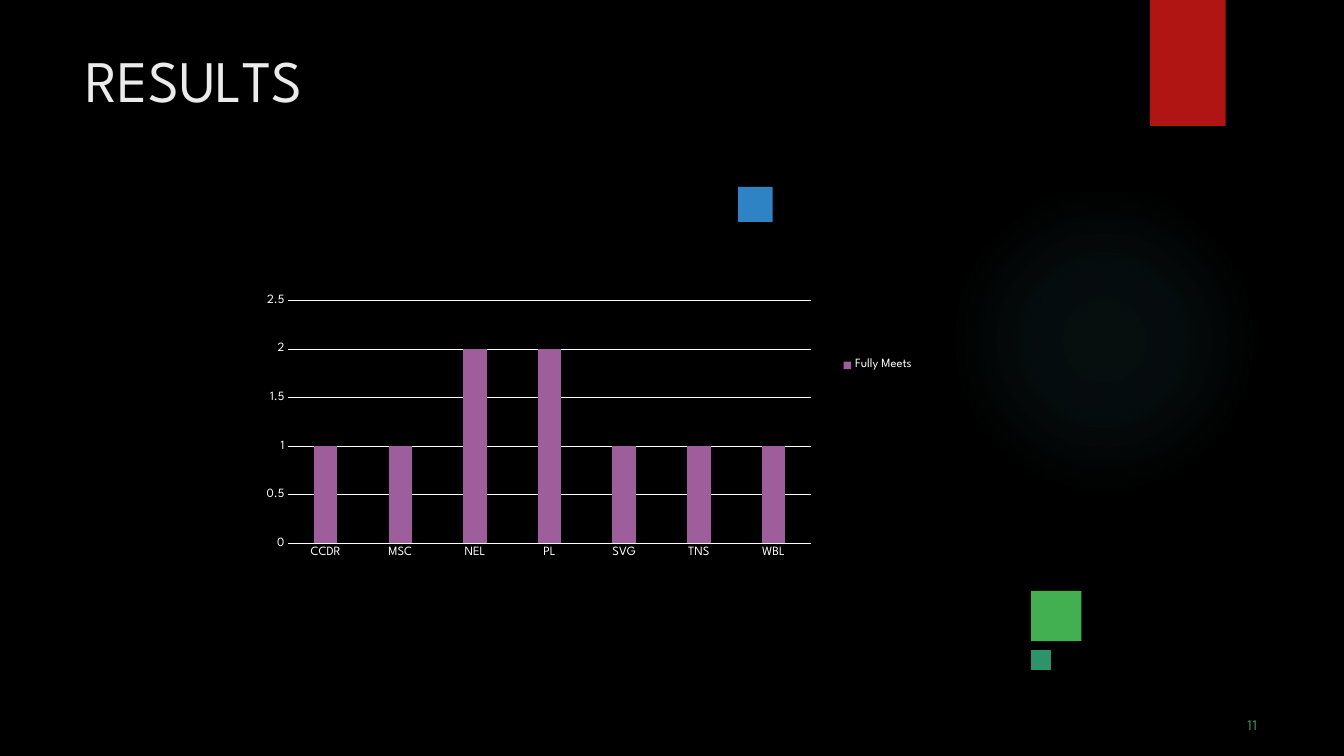
from lxml import etree
from pptx import Presentation
from pptx.chart.data import CategoryChartData
from pptx.dml.color import RGBColor
from pptx.enum.chart import XL_CHART_TYPE as ChartType
from pptx.enum.chart import XL_LEGEND_POSITION as LegendPosition
from pptx.enum.chart import XL_TICK_MARK as TickMark
from pptx.enum.shapes import MSO_SHAPE as Shape
from pptx.oxml import parse_xml
from pptx.oxml.ns import nsdecls, qn
from pptx.util import Pt

COLORS = {
    "background": "000000", "glow": "50B9C1", "red": "B01513",
    "green": "42AF51", "blue": "2D83C3", "teal": "2D936B",
    "title": "EBEBEB", "white": "FFFFFF", "purple": "9E5E9B",
}
HEADING_FONT = "League Spartan"
NUMBER_FONT = "Karla"

# Title letters with their letter spacing in hundredths of a point
TITLE = [("R", 0), ("E", -40), ("S", 10), ("U", -30), ("L", -400), ("TS", 0)]
PAGE_NUMBER = [("11", 10)]

# left, top, width, height, colour
BLOCKS = [
    (821.5, 0, 54, 90, "red"),
    (736.5, 422, 36, 36, "green"),
    (527.2, 133.4, 24.8, 25.2, "blue"),
    (736.5, 464.3, 14.2, 14.2, "teal"),
]
GLOW_BOX = (677.5, 131.8, 221.8, 221.8)
GLOW_STOPS = [(0, 7), (36, 6), (69, 0)]  # position %, opacity %

CHART_BOX = (137.5, 108, 522.7, 306)
PLOT_AREA = {"x": 0.131, "y": 0.349, "w": 0.714, "h": 0.567}
SERIES = "Fully Meets"
RESULTS = {"CCDR": 1, "MSC": 1, "NEL": 2, "PL": 2, "SVG": 1, "TNS": 1, "WBL": 1}


def color(name):
    return RGBColor.from_string(COLORS[name])


def points(values):
    return [Pt(value) for value in values]


def add_block(page, box, fill, kind=Shape.RECTANGLE):
    block = page.shapes.add_shape(kind, *points(box))
    block.shadow.inherit = False
    block.fill.solid()
    block.fill.fore_color.rgb = color(fill)
    block.line.fill.background()
    return block


def add_glow(page):
    """Add the circle whose faint colour fades out from its centre."""
    glow = add_block(page, GLOW_BOX, "glow", Shape.OVAL)
    stops = "".join(
        f'<a:gs pos="{position * 1000}"><a:srgbClr val="{COLORS["glow"]}">'
        f'<a:alpha val="{opacity * 1000}"/></a:srgbClr></a:gs>'
        for position, opacity in GLOW_STOPS)
    gradient = parse_xml(
        f'<a:gradFill {nsdecls("a")}><a:gsLst>{stops}</a:gsLst>'
        '<a:path path="circle"><a:fillToRect l="50000" t="50000" '
        'r="50000" b="50000"/></a:path></a:gradFill>')
    properties = glow.element.spPr
    properties.replace(properties.find(qn("a:solidFill")), gradient)


def style_font(font, size, fill, name=HEADING_FONT):
    font.size = Pt(size)
    font.name = name
    font.color.rgb = color(fill)


def add_spaced_text(page, box, pieces, size, fill, name, indent, before):
    """Add one line of text whose pieces have their own letter spacing."""
    frame = page.shapes.add_textbox(*points(box)).text_frame
    frame.word_wrap = True
    frame.margin_left = frame.margin_right = frame.margin_bottom = 0
    frame.margin_top = Pt(1)
    para = frame.paragraphs[0]
    para.space_before = Pt(before)
    para._p.get_or_add_pPr().set("marL", str(Pt(indent)))
    style_font(para.font, size, fill, name)
    for text, spacing in pieces:
        span = para.add_run()
        span.text = text
        span._r.get_or_add_rPr().set("spc", str(spacing))


def place_plot(chart):
    """Fix the inner plot area and leave the chart background clear."""
    layout = parse_xml(
        f'<c:layout {nsdecls("c")}><c:manualLayout>'
        '<c:layoutTarget val="inner"/><c:xMode val="edge"/><c:yMode val="edge"/>'
        + "".join(f'<c:{key} val="{value}"/>' for key, value in PLOT_AREA.items())
        + '</c:manualLayout></c:layout>')
    space = chart.element
    plot_area = space.find(".//" + qn("c:plotArea"))
    old_layout = plot_area.find(qn("c:layout"))
    if old_layout is not None:
        plot_area.remove(old_layout)
    plot_area.insert(0, layout)
    clear = parse_xml(f'<c:spPr {nsdecls("c", "a")}><a:noFill/>'
                      '<a:ln><a:noFill/></a:ln></c:spPr>')
    space.find(qn("c:chart")).addnext(clear)


def style_line(line):
    line.width = Pt(0.75)
    line.color.rgb = color("white")


def add_results_chart(page):
    data = CategoryChartData()
    data.categories = list(RESULTS)
    data.add_series(SERIES, list(RESULTS.values()))
    chart = page.shapes.add_chart(
        ChartType.COLUMN_CLUSTERED, *points(CHART_BOX), data).chart
    chart.has_title = False
    style_font(chart.font, 10, "white")
    chart.has_legend = True
    chart.legend.position = LegendPosition.RIGHT
    chart.legend.include_in_layout = False
    style_font(chart.legend.font, 9, "white")

    for axis in (chart.category_axis, chart.value_axis):
        axis.major_tick_mark = axis.minor_tick_mark = TickMark.NONE
        style_font(axis.tick_labels.font, 9, "white")
    style_line(chart.category_axis.format.line)
    values = chart.value_axis
    values.format.line.fill.background()
    values.minimum_scale, values.maximum_scale, values.major_unit = 0, 2.5, 0.5
    style_line(values.major_gridlines.format.line)

    plot = chart.plots[0]
    plot.gap_width, plot.overlap = 219, -27
    plot.vary_by_categories = False
    bars = plot.series[0].format.fill
    bars.solid()
    bars.fore_color.rgb = color("purple")
    place_plot(chart)


def main():
    deck = Presentation()
    deck.slide_width, deck.slide_height = Pt(960), Pt(540)
    page = deck.slides.add_slide(deck.slide_layouts[6])
    page.background.fill.solid()
    page.background.fill.fore_color.rgb = color("background")
    add_glow(page)
    for *box, fill in BLOCKS:
        add_block(page, box, fill)
    add_spaced_text(page, (59.8, 30.2, 192, 60), TITLE, 42, "title",
                    HEADING_FONT, indent=1, before=1.1)
    add_spaced_text(page, (887.8, 509.8, 18, 15), PAGE_NUMBER, 11, "teal",
                    NUMBER_FONT, indent=3, before=0.6)
    add_results_chart(page)
    deck.save("out.pptx")


if __name__ == "__main__":
    main()
